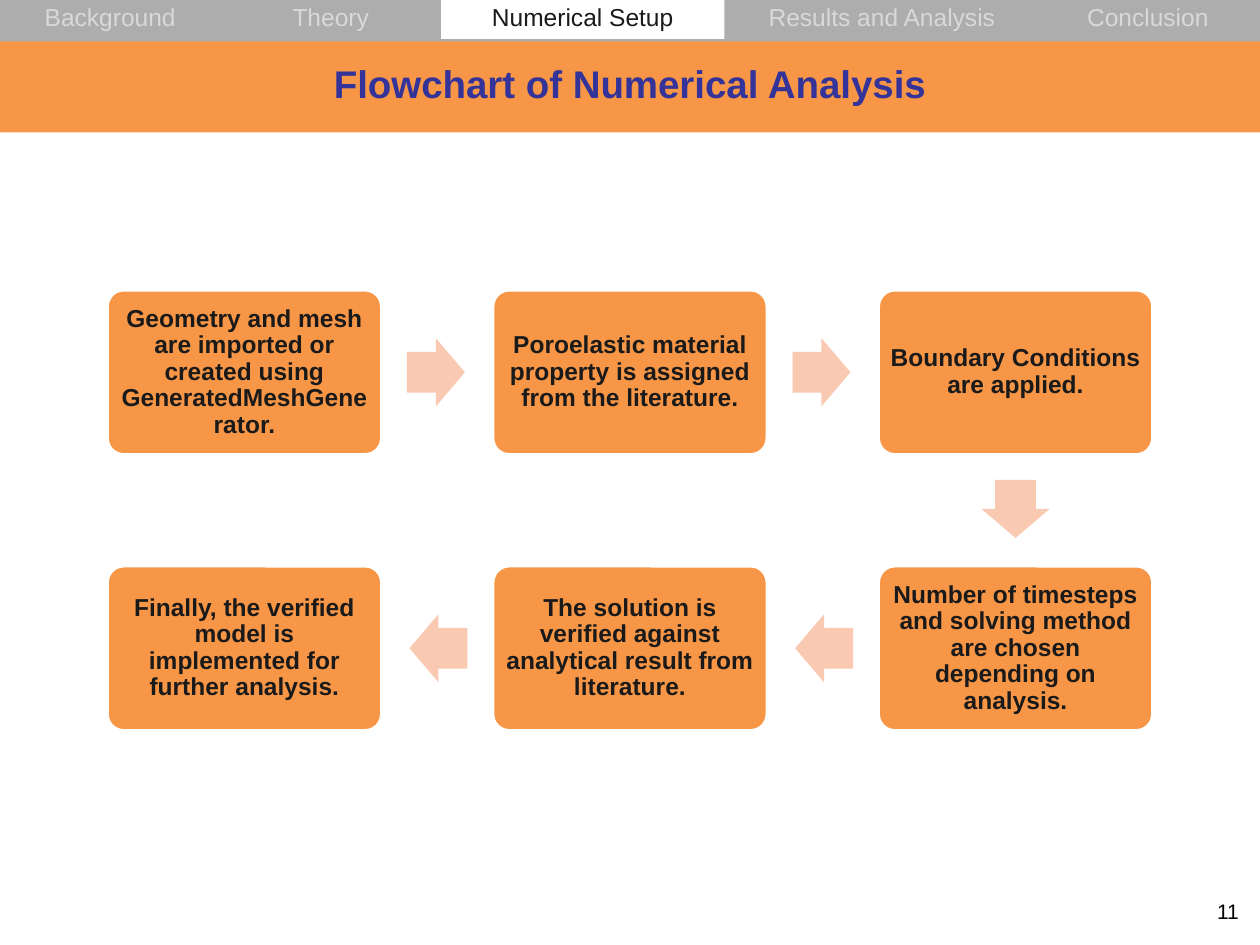
import pptx
import pptx.util
import pptx.dml.color
import pptx.enum.shapes
import pptx.enum.text

Inches = pptx.util.Inches
Pt = pptx.util.Pt
RGB = pptx.dml.color.RGBColor
SHAPE = pptx.enum.shapes.MSO_SHAPE
ALIGN = pptx.enum.text.PP_ALIGN
ANCHOR = pptx.enum.text.MSO_ANCHOR

ORANGE = RGB(0xF7, 0x96, 0x46)
PEACH = RGB(0xFA, 0xC9, 0xB1)
GRAY = RGB(0xAD, 0xAD, 0xAD)
PALE = RGB(0xD9, 0xD9, 0xD9)
WHITE = RGB(0xFF, 0xFF, 0xFF)
BLACK = RGB(0, 0, 0)
INK = RGB(0x1A, 0x1A, 0x1A)
NAVY = RGB(0x33, 0x33, 0x99)

WIDE, HIGH = 10, 7.5

# Flow grid: box size, first corner and step between corners
BOX_W, BOX_H = 2.18, 1.31
LEFT, TOP = 0.85, 2.3
STEP_X, STEP_Y = 3.06, 2.19
ARROW_W, ARROW_H, GAP = 0.46, 0.54, 0.2

# Each step: column, row, text; the path runs right, down, then left
STEPS = [
    (0, 0, "Geometry and mesh are imported or created using "
           "GeneratedMeshGenerator."),
    (1, 0, "Poroelastic material property is assigned from the literature."),
    (2, 0, "Boundary Conditions are applied."),
    (2, 1, "Number of timesteps and solving method are chosen depending "
           "on analysis."),
    (1, 1, "The solution is verified against analytical result from "
           "literature."),
    (0, 1, "Finally, the verified model is implemented for further analysis."),
]
TURN = {(1, 0): 0, (0, 1): 90, (-1, 0): 180}

TABS = [("Background", 1.75), ("Theory", 1.75), ("Numerical Setup", 2.25),
        ("Results and Analysis", 2.5), ("Conclusion", 1.72)]
ACTIVE = "Numerical Setup"


def place(item, x, y, w, h):
    item.left, item.top = Inches(x), Inches(y)
    item.width, item.height = Inches(w), Inches(h)


def write(item, text, size, color, bold=False, align=ALIGN.CENTER,
          anchor=ANCHOR.MIDDLE):
    frame = item.text_frame
    frame.text = text
    frame.word_wrap = True
    frame.vertical_anchor = anchor
    par = frame.paragraphs[0]
    par.alignment = align
    font = par.runs[0].font
    font.name, font.size, font.bold = "Arial", Pt(size), bold
    font.color.rgb = color


def add_block(slide, kind, x, y, w, h, fill):
    block = slide.shapes.add_shape(kind, Inches(x), Inches(y),
                                   Inches(w), Inches(h))
    block.shadow.inherit = False
    block.fill.solid()
    block.fill.fore_color.rgb = fill
    block.line.fill.background()
    return block


def add_label(slide, x, y, w, h, *style, **more):
    label = slide.shapes.add_textbox(Inches(x), Inches(y),
                                     Inches(w), Inches(h))
    write(label, *style, **more)


def add_title(slide, text):
    add_block(slide, SHAPE.RECTANGLE, 0, 0, WIDE, 1.05, ORANGE)
    title = slide.shapes.title
    place(title, 0, 0.27, WIDE, 0.78)
    write(title, text, 22, NAVY, bold=True)
    # Bring the title in front of its band
    slide.shapes._spTree.append(title._element)


def add_tabs(slide):
    add_block(slide, SHAPE.RECTANGLE, 0, 0, WIDE, 0.33, GRAY)
    x, y, h = 0, -0.03, 0.34
    for name, w in TABS:
        if name == ACTIVE:
            tab = add_block(slide, SHAPE.RECTANGLE, x, y, w, h, WHITE)
            write(tab, name, 14, INK, anchor=ANCHOR.TOP)
        else:
            add_label(slide, x, y, w, h, name, 14, PALE, anchor=ANCHOR.TOP)
        x += w


def add_step(slide, col, row, text):
    box = add_block(slide, SHAPE.ROUNDED_RECTANGLE, LEFT + col * STEP_X,
                    TOP + row * STEP_Y, BOX_W, BOX_H, ORANGE)
    box.adjustments[0] = 0.1
    box.line.color.rgb = WHITE
    box.line.width = Pt(2)
    frame = box.text_frame
    frame.margin_left = frame.margin_right = Inches(0.06)
    frame.margin_top = frame.margin_bottom = Inches(0.06)
    write(box, text, 14, INK, bold=True)
    frame.paragraphs[0].line_spacing = 0.9


def add_arrow(slide, col, row, dx, dy):
    # The tail sits one gap beyond the side of the box it leaves
    reach = GAP + ARROW_W / 2
    x = LEFT + col * STEP_X + BOX_W / 2 + dx * (BOX_W / 2 + reach)
    y = TOP + row * STEP_Y + BOX_H / 2 + dy * (BOX_H / 2 + reach)
    arrow = add_block(slide, SHAPE.RIGHT_ARROW, x - ARROW_W / 2,
                      y - ARROW_H / 2, ARROW_W, ARROW_H, PEACH)
    arrow.adjustments[0], arrow.adjustments[1] = 0.6, 0.5
    arrow.rotation = TURN[dx, dy]


def main():
    deck = pptx.Presentation()
    deck.slide_width, deck.slide_height = Inches(WIDE), Inches(HIGH)
    slide = deck.slides.add_slide(deck.slide_layouts[5])

    # Header
    add_title(slide, "Flowchart of Numerical Analysis")
    add_tabs(slide)

    # Flowchart
    for step in STEPS:
        add_step(slide, *step)
    for (col, row, _), (to_col, to_row, _) in zip(STEPS, STEPS[1:]):
        add_arrow(slide, col, row, to_col - col, to_row - row)

    # Page number
    add_label(slide, 9.39, 7.05, 0.54, 0.36, "11", 12, BLACK,
              align=ALIGN.RIGHT)

    deck.save("out.pptx")


if __name__ == "__main__":
    main()
